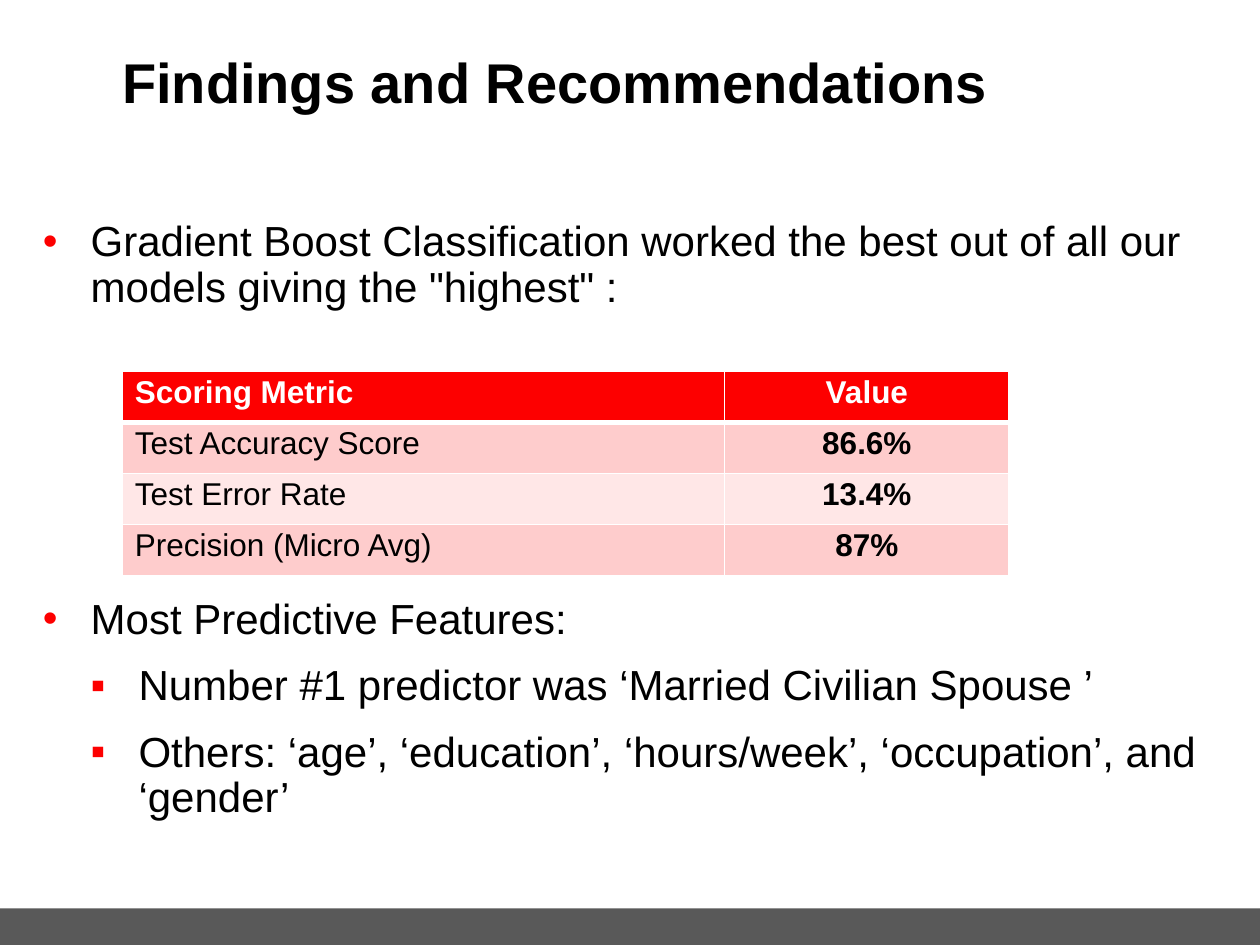
from lxml import etree
from pptx import Presentation
from pptx.dml.color import RGBColor
from pptx.enum.shapes import MSO_SHAPE
from pptx.enum.text import PP_ALIGN
from pptx.oxml.ns import qn
from pptx.util import Inches, Pt

RECTANGLE = MSO_SHAPE.RECTANGLE
LEFT, CENTER = PP_ALIGN.LEFT, PP_ALIGN.CENTER

FONT = "Arial"
BLACK = RGBColor(0x00, 0x00, 0x00)
WHITE = RGBColor(0xFF, 0xFF, 0xFF)
RED = RGBColor(0xFD, 0x00, 0x00)
PINK = RGBColor(0xFE, 0xCC, 0xCC)
PALE_PINK = RGBColor(0xFF, 0xE7, 0xE7)
GRAY = RGBColor(0x59, 0x59, 0x59)

INDENT = 0.38
TABLE_GAP = 164  # points left free for the table between the bullets

# Text, level, bullet mark, points before
BULLETS = [
    ('Gradient Boost Classification worked the best out of all our models giving the "highest" :',
     1, "•", 0),
    ("Most Predictive Features:", 1, "•", TABLE_GAP),
    ("Number #1 predictor was ‘Married Civilian Spouse ’", 2, "▪", 12),
    ("Others: ‘age’, ‘education’, ‘hours/week’, ‘occupation’, and ‘gender’", 2, "▪", 12),
]
METRICS = [
    ("Scoring Metric", "Value"),
    ("Test Accuracy Score", "86.6%"),
    ("Test Error Rate", "13.4%"),
    ("Precision (Micro Avg)", "87%"),
]
COLUMN_WIDTHS = (4.78, 2.26)
ROW_HEIGHT = 0.405


def write(para, text, size=24, color=BLACK, bold=False, align=LEFT, spacing=None, before=0):
    para.alignment = align
    para.line_spacing = spacing
    para.space_before = Pt(before)
    span = para.add_run()
    span.text = text
    span.font.name = FONT
    span.font.size = Pt(size)
    span.font.bold = bold
    span.font.color.rgb = color


def add_box(page, left, top, width, height, top_inset=0):
    box = page.shapes.add_textbox(Inches(left), Inches(top), Inches(width), Inches(height))
    frame = box.text_frame
    frame.word_wrap = True
    frame.margin_left = frame.margin_right = frame.margin_bottom = 0
    frame.margin_top = Inches(top_inset)
    return frame


def set_bullet(para, mark, level):
    para.level = level - 1
    properties = para._p.get_or_add_pPr()
    properties.set("marL", str(Inches(INDENT * level)))
    properties.set("indent", str(-Inches(INDENT)))
    color = etree.SubElement(properties, qn("a:buClr"))
    etree.SubElement(color, qn("a:srgbClr"), val=str(RED))
    etree.SubElement(properties, qn("a:buFont"), typeface=FONT)
    etree.SubElement(properties, qn("a:buChar"), char=mark)


def set_borders(cell, top=1, bottom=1):
    properties = cell._tc.get_or_add_tcPr()
    sides = (("lnL", 1), ("lnR", 1), ("lnT", top), ("lnB", bottom))
    for place, (side, width) in enumerate(sides):
        line = etree.Element(qn(f"a:{side}"), w=str(Pt(width)))
        fill = etree.SubElement(line, qn("a:solidFill"))
        etree.SubElement(fill, qn("a:srgbClr"), val=str(WHITE))
        properties.insert(place, line)


def add_footer_band(page):
    band = page.shapes.add_shape(RECTANGLE, 0, Inches(7.21), Inches(10), Inches(0.29))
    band.shadow.inherit = False
    band.fill.solid()
    band.fill.fore_color.rgb = GRAY
    band.line.fill.background()


def add_bullets(page):
    frame = add_box(page, 0.34, 1.75, 9.34, 4.22)
    for index, (text, level, mark, before) in enumerate(BULLETS):
        para = frame.add_paragraph() if index else frame.paragraphs[0]
        write(para, text, spacing=0.9, before=before)
        set_bullet(para, mark, level)


def add_metrics_table(page):
    table = page.shapes.add_table(
        len(METRICS), len(COLUMN_WIDTHS), Inches(0.97), Inches(2.95),
        Inches(sum(COLUMN_WIDTHS)), Inches(ROW_HEIGHT * len(METRICS))).table
    for column, width in zip(table.columns, COLUMN_WIDTHS):
        column.width = Inches(width)
    for r, values in enumerate(METRICS):
        table.rows[r].height = Inches(ROW_HEIGHT)
        header = r == 0
        for c, text in enumerate(values):
            cell = table.cell(r, c)
            cell.fill.solid()
            cell.fill.fore_color.rgb = RED if header else PINK if r % 2 else PALE_PINK
            set_borders(cell, top=3 if r == 1 else 1, bottom=3 if header else 1)
            write(cell.text_frame.paragraphs[0], text, size=18,
                  color=WHITE if header else BLACK, bold=header or c == 1,
                  align=CENTER if c else LEFT, spacing=0.9)


def main():
    deck = Presentation()
    deck.slide_width, deck.slide_height = Inches(10), Inches(7.5)
    page = deck.slides.add_slide(deck.slide_layouts[6])

    add_footer_band(page)

    # Title
    title = add_box(page, 0.97, 0.33, 8.29, 1.03, top_inset=0.05)
    write(title.paragraphs[0], "Findings and Recommendations", size=32, bold=True)

    add_bullets(page)
    add_metrics_table(page)
    deck.save("out.pptx")


if __name__ == "__main__":
    main()
